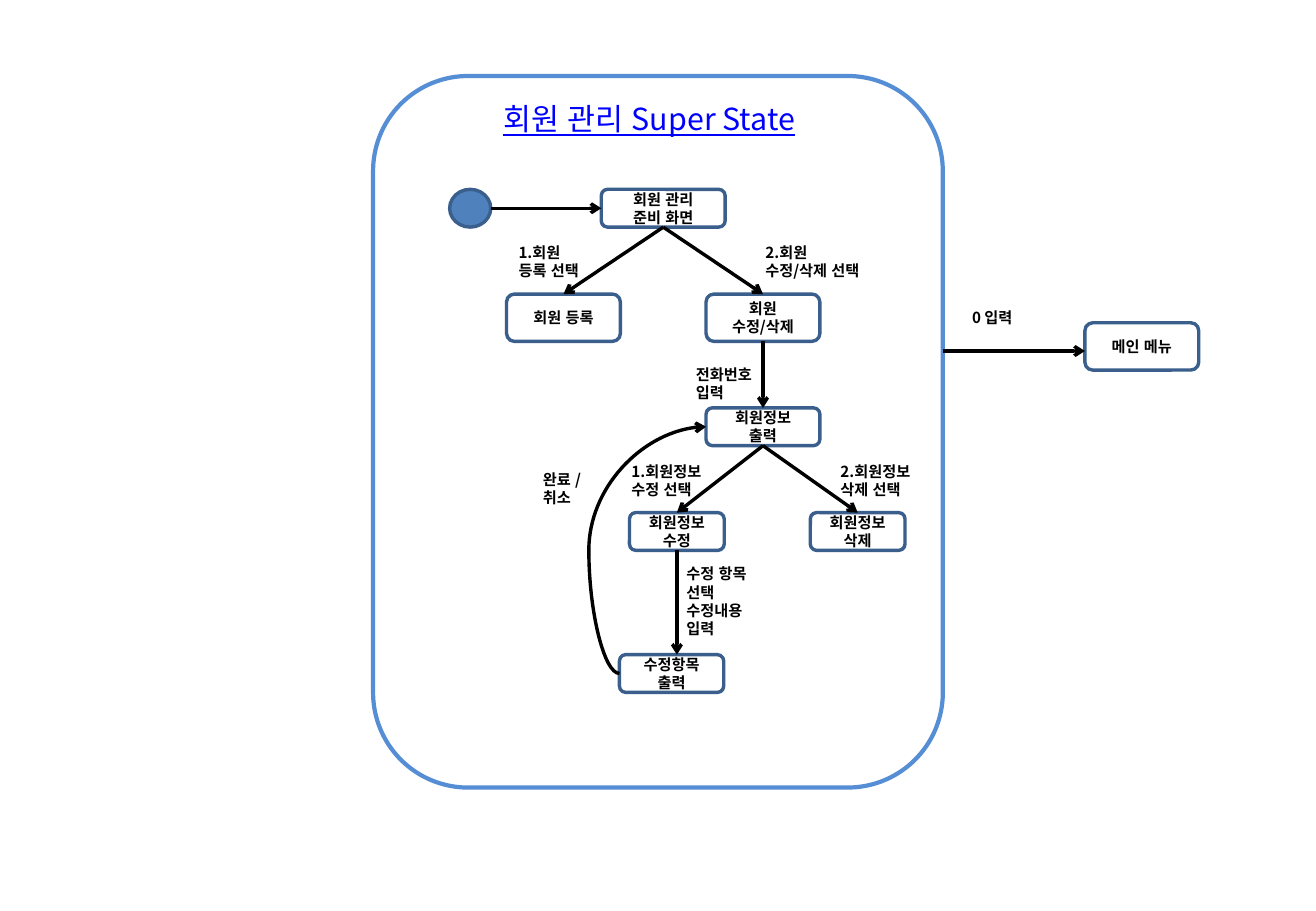
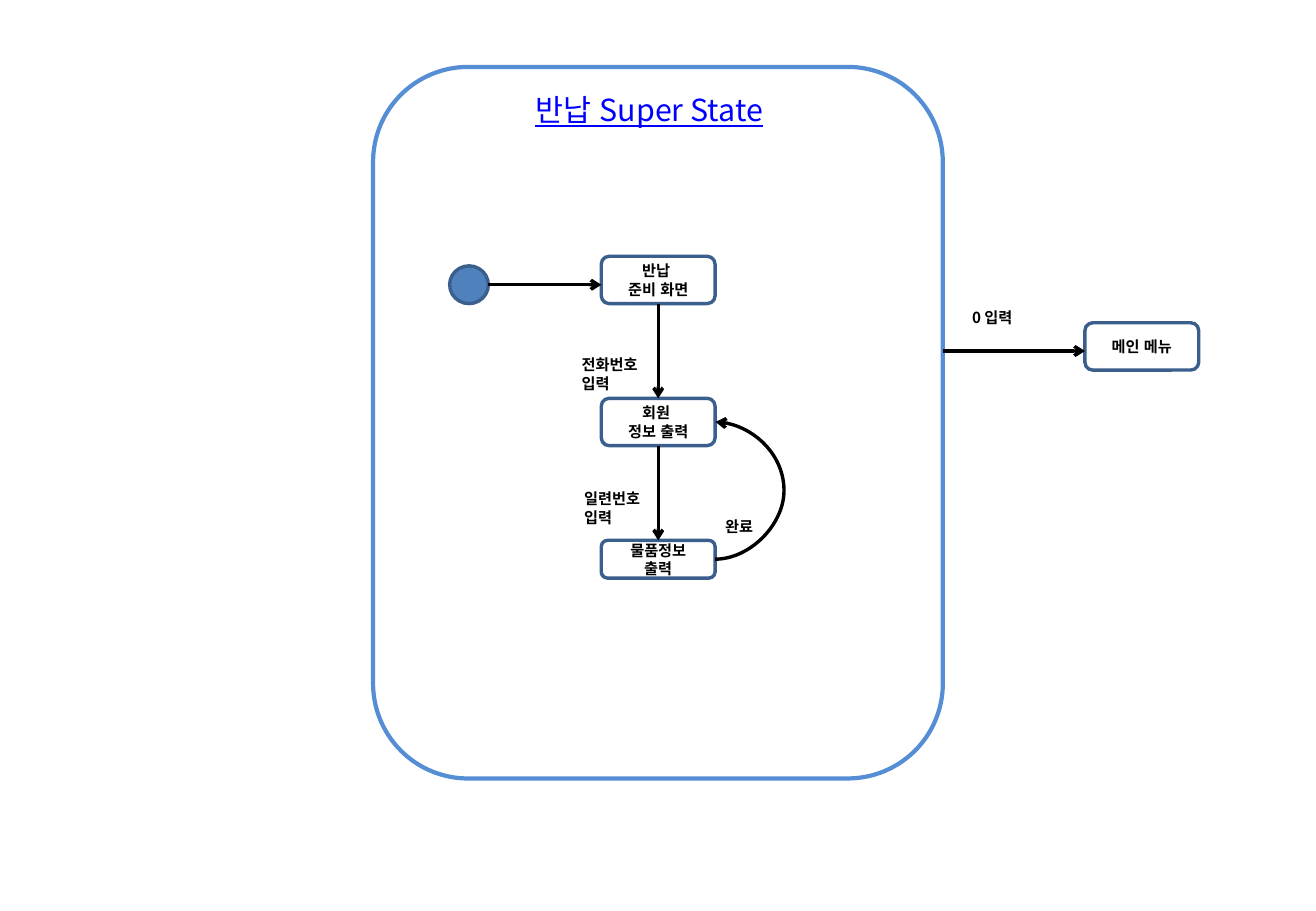
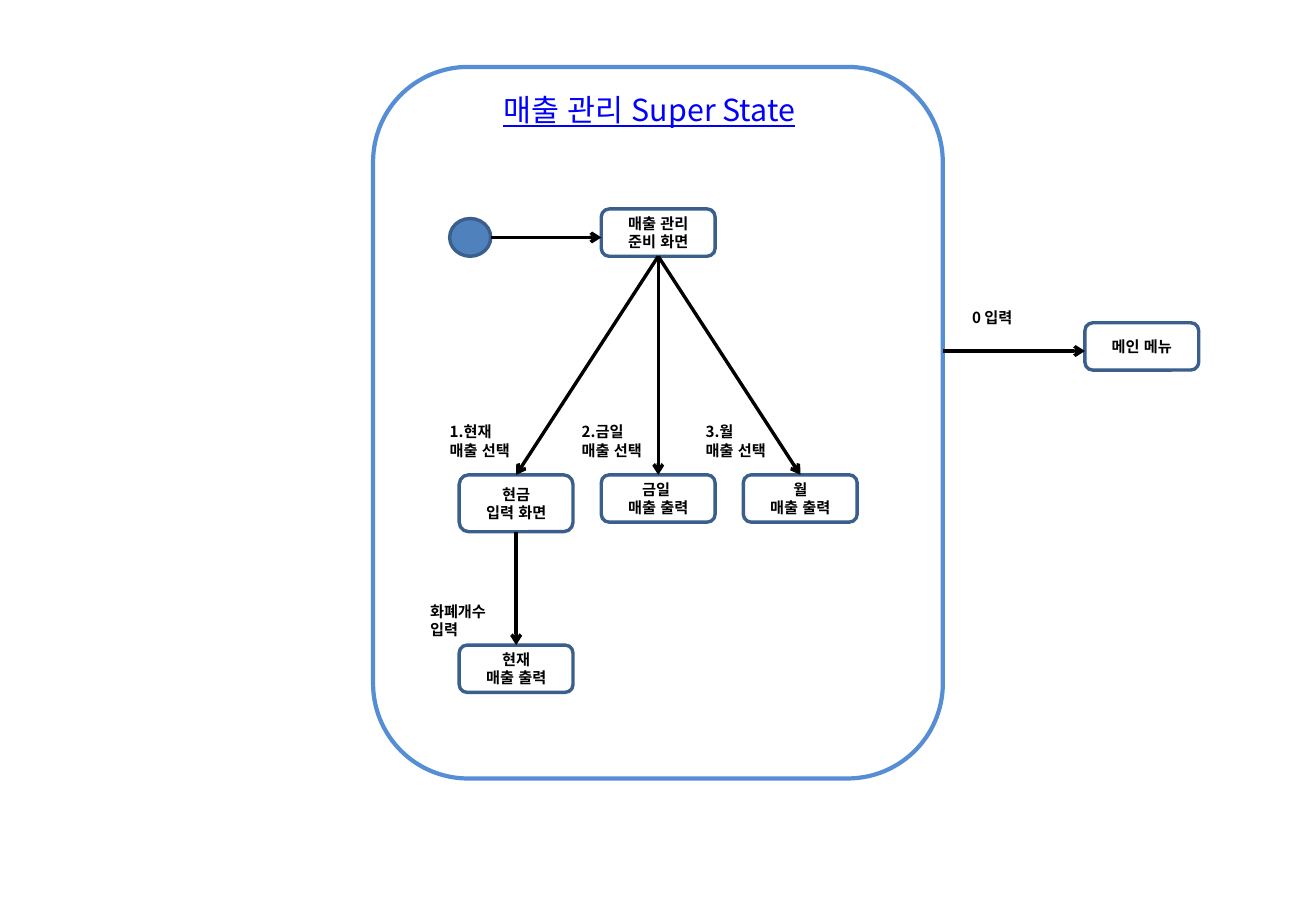
from pptx import Presentation
from pptx.dml.color import RGBColor
from pptx.enum import shapes, text, lang
from pptx.oxml import ns, xmlchemy
from pptx.util import Cm, Pt

INK = {"text": "000000", "title": "0000FF", "edge": "3A5F8C",
       "frame": "558ED5", "dot": "4F81BD"}
FONT = "Noto Sans CJK KR"
KIND = shapes.MSO_SHAPE
LINE = shapes.MSO_CONNECTOR
TOP, LEFT, BASE, RIGHT = range(4)
MID = 12.57
WIDE, TALL, LOW = 2.38, 0.99, 0.79


def hue(name):
    return RGBColor.from_string(INK[name])


def add(node, tag, **attrs):
    item = xmlchemy.OxmlElement(tag)
    for key, value in attrs.items():
        item.set(key, value)
    node.append(item)
    return item


def write(frame, words, size=9, ink="text", bold=True, align=None):
    frame.word_wrap = True
    frame.text = words
    for para in frame.paragraphs:
        para.alignment = align
        for run in para.runs:
            font = run.font
            font.name, font.size, font.bold = FONT, Pt(size), bold
            font.color.rgb = hue(ink)
            font.language_id = lang.MSO_LANGUAGE_ID.KOREAN
            font.underline = None if bold else True
            latin = font._element.find(ns.qn("a:latin"))
            east = xmlchemy.OxmlElement("a:ea")
            east.set("typeface", FONT)
            latin.addnext(east)


def form(slide, kind, x, y, w, h, edge="edge", fill=None, width=2):
    item = slide.shapes.add_shape(kind, Cm(x), Cm(y), Cm(w), Cm(h))
    item.shadow.inherit = False
    item.line.color.rgb = hue(edge)
    item.line.width = Pt(width)
    if fill:
        item.fill.solid()
        item.fill.fore_color.rgb = hue(fill)
    else:
        item.fill.background()
    return item


def box(slide, words, x, y, w=WIDE, h=TALL):
    item = form(slide, KIND.ROUNDED_RECTANGLE, x, y, w, h)
    item.text_frame.vertical_anchor = text.MSO_ANCHOR.MIDDLE
    write(item.text_frame, words, align=text.PP_ALIGN.CENTER)
    return item


def note(slide, words, x, y, w=1.78, h=TALL):
    frame = slide.shapes.add_textbox(Cm(x), Cm(y), Cm(w), Cm(h)).text_frame
    frame.margin_left = frame.margin_right = Cm(0.2)
    frame.margin_top = frame.margin_bottom = Cm(0.1)
    write(frame, words)


def ink(line):
    line.line.color.rgb = hue("text")
    line.line.width = Pt(2)
    add(line.line._get_or_add_ln(), "a:tailEnd", type="arrow")
    add(line._element.spPr, "a:effectLst")


def arrow(slide, start, end, kind=LINE.STRAIGHT):
    line = slide.shapes.add_connector(kind, 0, 0, 0, 0)
    line.begin_x, line.begin_y, line.end_x, line.end_y = [
        Cm(v) if isinstance(v, (int, float)) else 0 for v in (*start, *end)]
    if not isinstance(start[0], (int, float)):
        line.begin_connect(*start)
    if not isinstance(end[0], (int, float)):
        line.end_connect(*end)
    ink(line)
    return line


def curve(slide, start, end, bulge):
    line = arrow(slide, start, end, LINE.CURVE)
    if line.width == 0:
        line.end_x = line.begin_x + Cm(0.01)
    ratio = round(Cm(bulge) / line.width * 100000)
    geom = line._element.spPr.find(ns.qn("a:prstGeom"))
    rules = geom.find(ns.qn("a:avLst"))
    if rules is None:
        rules = add(geom, "a:avLst")
    add(rules, "a:gd", name="adj1", fmla=f"val {ratio}")


def dot(slide, y, end=None, w=0.86):
    x, mid = 9.4, y + LOW / 2
    form(slide, KIND.OVAL, x, y, w, LOW, fill="dot")
    arrow(slide, (x + w, mid), end or (MID, mid))


def base(deck, name, top=1.4):
    slide = deck.slides.add_slide(deck.slide_layouts[5])
    title = slide.shapes.title
    title.left, title.top = Cm(9.2), Cm(top + 0.38)
    title.width, title.height = Cm(8.74), Cm(1.02)
    frame = title.text_frame
    frame.auto_size = text.MSO_AUTO_SIZE.NONE
    frame.vertical_anchor = text.MSO_ANCHOR.TOP
    write(frame, f"{name} Super State", 18, "title", False,
          text.PP_ALIGN.CENTER)
    form(slide, KIND.ROUNDED_RECTANGLE, 7.8, top, 11.91, 14.88,
         edge="frame", width=2.5)
    box(slide, "메인 메뉴", 22.68, 6.75)
    arrow(slide, (19.71, 7.34), (22.68, 7.34))
    note(slide, "0 입력", 20.12, 6.35, h=0.61)
    return slide


def member(deck):
    slide = base(deck, "회원 관리", 1.59)
    prep = box(slide, "회원 관리\n준비 화면", MID, 3.96, 2.59, LOW)
    join = box(slide, "회원 등록", 10.59, 6.15)
    edit = box(slide, "회원 수정/삭제", 14.76, 6.15)
    info = box(slide, "회원정보\n출력", 14.76, 8.53, h=LOW)
    fix = box(slide, "회원정보수정", 13.16, 10.72, 1.98, LOW)
    drop = box(slide, "회원정보삭제", 16.94, 10.72, 1.98, LOW)
    item = box(slide, "수정항목 출력", 12.95, 13.69, 2.18, LOW)
    dot(slide, 3.96, (prep, LEFT))
    for a, b in ((prep, join), (prep, edit), (edit, info),
                 (info, fix), (info, drop)):
        arrow(slide, (a, BASE), (b, TOP))
    arrow(slide, (fix, BASE), (14.15, 13.69))
    curve(slide, (item, LEFT), (info, LEFT), -0.64)
    note(slide, "1.회원\n등록 선택", 10.64, 4.98, 1.88)
    note(slide, "2.회원\n수정/삭제 선택", 15.8, 4.98, 2.72)
    note(slide, "전화번호\n입력", 14.35, 7.54)
    note(slide, "1.회원정보\n수정 선택", 13, 9.56, 2.29)
    note(slide, "2.회원정보\n삭제 선택", 17.37, 9.56, 2.29)
    note(slide, "완료 /\n취소", 11.15, 9.73, 2)
    note(slide, "수정 항목\n선택\n수정내용\n입력", 14.15, 11.71, 2, 2.13)


def giveback(deck):
    slide = base(deck, "반납")
    prep = box(slide, "반납 \n준비 화면", MID, 5.36)
    info = box(slide, "회원 \n정보 출력", MID, 8.33)
    goods = box(slide, "물품정보\n출력", MID, 11.3, h=LOW)
    dot(slide, 5.56, w=0.81)
    for a, b in ((prep, info), (info, goods)):
        arrow(slide, (a, BASE), (b, TOP))
    curve(slide, (goods, RIGHT), (info, RIGHT), 1.44)
    note(slide, "전화번호입력", 11.96, 7.34)
    note(slide, "일련번호 입력", 12.01, 10.14, 1.88)
    note(slide, "완료", 14.96, 10.72, 2, 0.61)


def sales(deck):
    slide = base(deck, "매출 관리")
    prep = box(slide, "매출 관리 준비 화면", MID, 4.37)
    dot(slide, 4.57)
    goals = []
    for i, (words, h) in enumerate((("현금\n입력 화면", 1.19),
                                    ("금일 \n매출 출력", TALL),
                                    ("월\n매출 출력", TALL))):
        goal = box(slide, words, 9.6 + 2.97 * i, 9.93, h=h)
        arrow(slide, (prep, BASE), (goal, TOP))
        goals.append(goal)
    now = box(slide, "현재\n매출 출력", 9.6, 13.49)
    arrow(slide, (goals[0], BASE), (now, TOP))
    for words, x in (("1.현재", 9.2), ("2.금일", 11.96), ("3.월", 14.55)):
        note(slide, f"{words}\n매출 선택", x, 8.74, 2.1)
    note(slide, "화폐개수 입력", 8.79, 12.5)


def main():
    deck = Presentation()
    deck.slide_width, deck.slide_height = Cm(27.51), Cm(19.05)
    for build in (member, giveback, sales):
        build(deck)
    deck.save("out.pptx")


if __name__ == "__main__":
    main()
